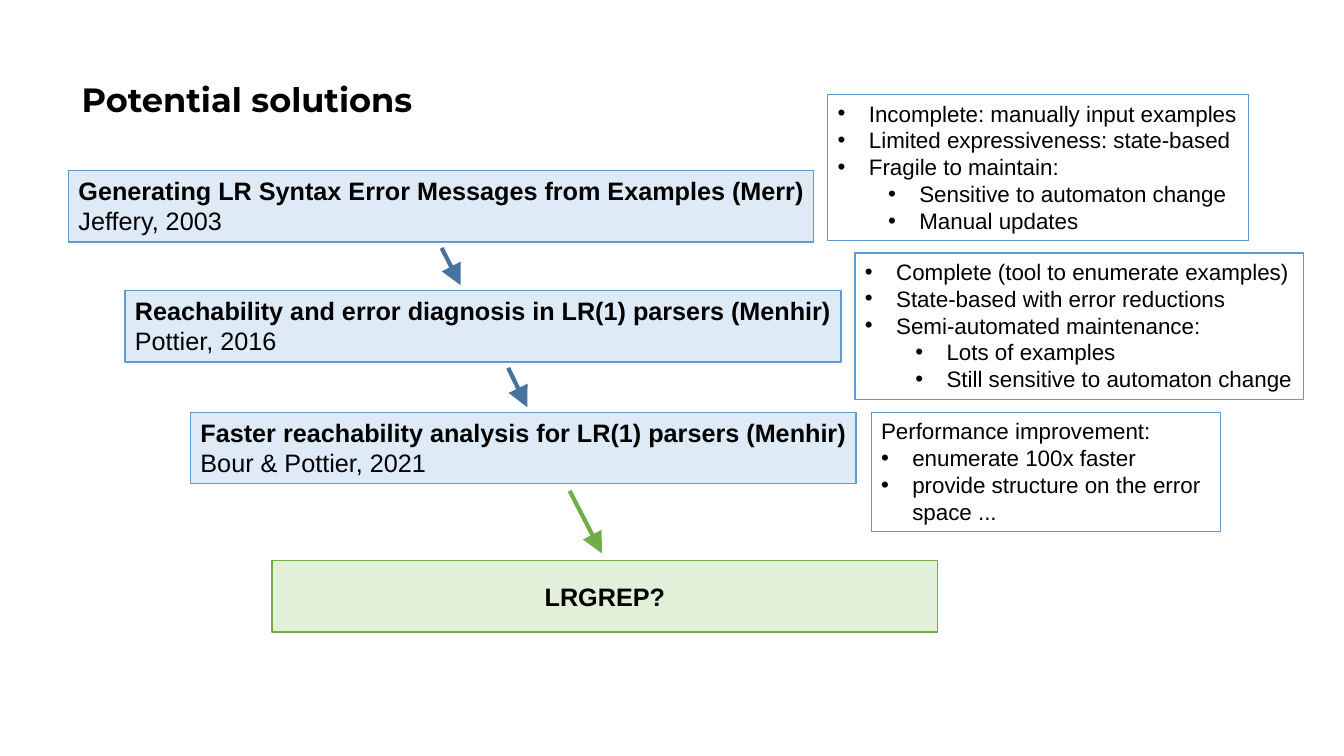
from lxml import etree
from pptx import Presentation
from pptx.dml.color import RGBColor
from pptx.enum import shapes, text
from pptx.oxml import ns
from pptx.util import Inches, Pt

BLACK = RGBColor(0x00, 0x00, 0x00)
WHITE = RGBColor(0xFF, 0xFF, 0xFF)
BLUE = RGBColor(0x5B, 0x9B, 0xD5)
PALE_BLUE = RGBColor(0xDE, 0xEB, 0xF7)
DARK_BLUE = RGBColor(0x43, 0x73, 0x9E)
GREEN = RGBColor(0x70, 0xAD, 0x47)
PALE_GREEN = RGBColor(0xE2, 0xF0, 0xD9)

LEFT, CENTER = text.PP_ALIGN.LEFT, text.PP_ALIGN.CENTER
TOP, MIDDLE = text.MSO_ANCHOR.TOP, text.MSO_ANCHOR.MIDDLE
GROW, FIXED = text.MSO_AUTO_SIZE.SHAPE_TO_FIT_TEXT, text.MSO_AUTO_SIZE.NONE

PAPERS = [
    ((0.68, 1.69, 7.39, 0.71),
     "Generating LR Syntax Error Messages from Examples (Merr)", "Jeffery, 2003"),
    ((1.24, 2.88, 7.1, 0.71),
     "Reachability and error diagnosis in LR(1) parsers (Menhir)", "Pottier, 2016"),
    ((1.89, 4.09, 6.6, 0.71),
     "Faster reachability analysis for LR(1) parsers (Menhir)", "Bour & Pottier, 2021"),
]
NOTES = [
    ((8.21, 0.94, 4.17, 1.45), False, [
        (0, "Incomplete: manually input examples"),
        (0, "Limited expressiveness: state-based"),
        (0, "Fragile to maintain:"),
        (1, "Sensitive to automaton change"),
        (1, "Manual updates")]),
    ((8.48, 2.51, 4.45, 1.45), False, [
        (0, "Complete (tool to enumerate examples)"),
        (0, "State-based with error reductions"),
        (0, "Semi-automated maintenance:"),
        (1, "Lots of examples"),
        (1, "Still sensitive to automaton change")]),
    ((8.64, 4.09, 3.47, 1.18), True, [
        (None, "Performance improvement:"),
        (0, "enumerate 100x faster"),
        (0, "provide structure on the error space ...")]),
]
ARROWS = [
    ((4.38, 2.46, 4.57, 2.83), DARK_BLUE),
    ((5.04, 3.65, 5.23, 4.04), DARK_BLUE),
    ((5.65, 4.87, 5.97, 5.49), GREEN),
]


def apply(target, values):
    for name, value in values.items():
        setattr(target, name, value)


def add_line(p, words, size, bold=False, align=LEFT, font="Arial"):
    p.alignment = align
    r = p.add_run()
    r.text = words
    apply(r.font, {"name": font, "size": Pt(size), "bold": bold})
    r.font.color.rgb = BLACK


def add_bullet(p, level):
    p.level = level
    pPr = p._p.get_or_add_pPr()
    pPr.set("marL", str(Inches(0.31 + 0.5 * level)))
    pPr.set("indent", str(Inches(-0.31)))
    etree.SubElement(pPr, ns.qn("a:buFont")).set("typeface", "Arial")
    etree.SubElement(pPr, ns.qn("a:buChar")).set("char", "•")


def add_box(s, place, fill, line, width, frame):
    sp = s.shapes.add_shape(shapes.MSO_SHAPE.RECTANGLE, *map(Inches, place))
    sp.shadow.inherit = False
    if fill is None:
        sp.fill.background()
    else:
        sp.fill.solid()
        sp.fill.fore_color.rgb = fill
    sp.line.color.rgb = line
    sp.line.width = Pt(width)
    apply(sp.text_frame, frame)
    return sp.text_frame


def next_paragraph(tf, index):
    return tf.add_paragraph() if index else tf.paragraphs[0]


def add_paper(s, place, title, authors):
    tf = add_box(s, place, PALE_BLUE, BLUE, 1,
                 {"word_wrap": True, "auto_size": GROW, "vertical_anchor": TOP,
                  "margin_right": Inches(0)})
    for i, words in enumerate((title, authors)):
        add_line(next_paragraph(tf, i), words, 18, bold=i == 0)


def add_note(s, place, wrap, lines):
    tf = add_box(s, place, None, BLUE, 0.75,
                 {"word_wrap": wrap, "auto_size": GROW, "vertical_anchor": TOP})
    for i, (level, words) in enumerate(lines):
        p = next_paragraph(tf, i)
        add_line(p, words, 16)
        if level is not None:
            add_bullet(p, level)


def add_arrow(s, ends, color):
    cx = s.shapes.add_connector(shapes.MSO_CONNECTOR.STRAIGHT, *map(Inches, ends))
    cx.line.color.rgb = color
    cx.line.width = Pt(3)
    head = etree.SubElement(cx.line._get_or_add_ln(), ns.qn("a:tailEnd"))
    for name, value in {"type": "triangle", "w": "lg", "len": "lg"}.items():
        head.set(name, value)
    etree.SubElement(cx._element.spPr, ns.qn("a:effectLst"))


def add_title(s, words):
    title = s.shapes.title
    apply(title, {"left": Inches(0.71), "top": Inches(0.28),
                  "width": Inches(11.5), "height": Inches(1.45)})
    tf = title.text_frame
    apply(tf, {"word_wrap": True, "auto_size": FIXED, "vertical_anchor": MIDDLE})
    tf.paragraphs[0].line_spacing = 0.9
    add_line(tf.paragraphs[0], words, 24, bold=True, font="Montserrat")


def main():
    """Build the slide on potential solutions and save it."""
    prs = Presentation()
    apply(prs, {"slide_width": Inches(13.33), "slide_height": Inches(7.5)})
    s = prs.slides.add_slide(prs.slide_layouts[5])
    s.background.fill.solid()
    s.background.fill.fore_color.rgb = WHITE
    add_title(s, "Potential solutions")
    for paper in PAPERS:
        add_paper(s, *paper)
    tf = add_box(s, (2.7, 5.56, 6.6, 0.71), PALE_GREEN, GREEN, 1,
                 {"word_wrap": False, "auto_size": FIXED, "vertical_anchor": MIDDLE})
    add_line(tf.paragraphs[0], "LRGREP?", 18, bold=True, align=CENTER)
    for note in NOTES:
        add_note(s, *note)
    for arrow in ARROWS:
        add_arrow(s, *arrow)
    prs.save("out.pptx")


if __name__ == "__main__":
    main()
